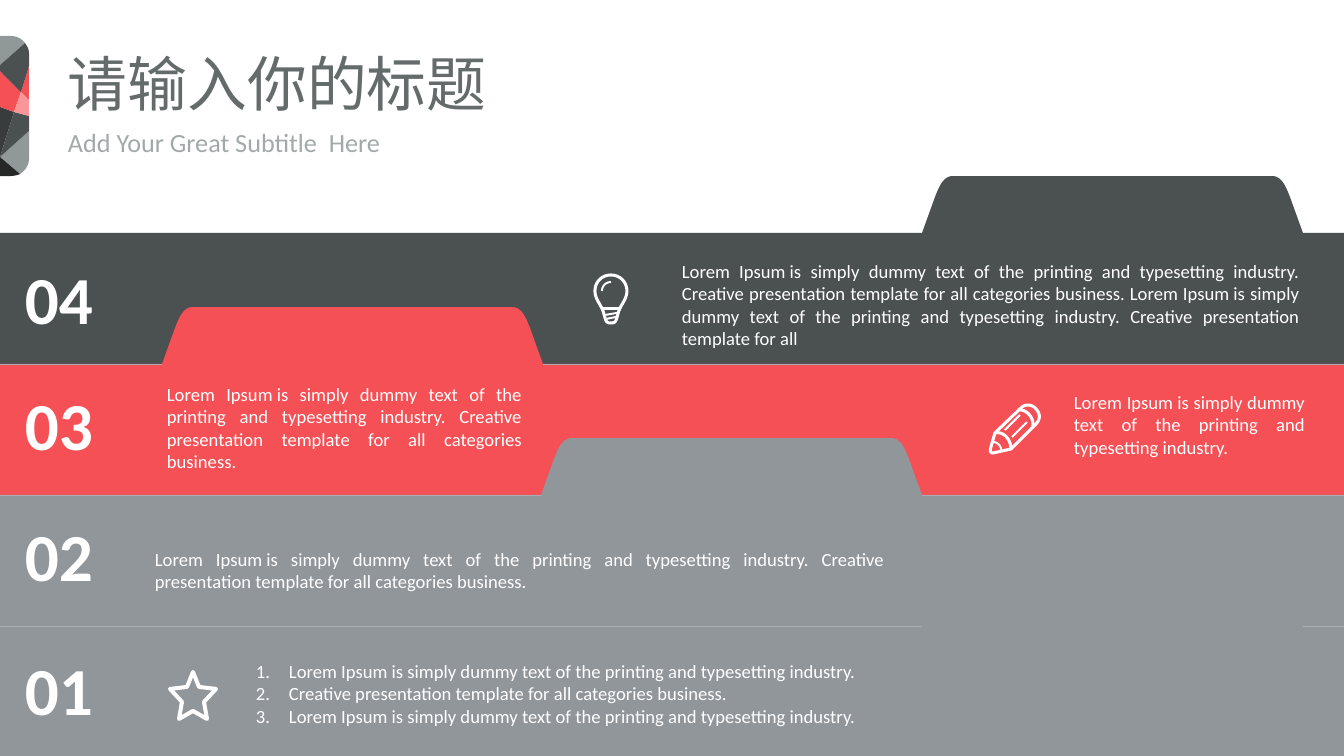
from lxml.etree import SubElement
from pptx import Presentation
from pptx.dml.color import RGBColor
from pptx.enum.shapes import MSO_CONNECTOR
from pptx.enum.text import MSO_ANCHOR, PP_ALIGN
from pptx.oxml.ns import qn
from pptx.util import Pt

SCALE = 914400 / 100.8
WIDTH, HEIGHT = 1344, 756
WHITE = RGBColor(0xFF, 0xFF, 0xFF)
CORAL = RGBColor(0xF5, 0x50, 0x55)
PINK = RGBColor(0xF9, 0x96, 0x99)
SLATE = RGBColor(0x4B, 0x50, 0x50)
CHARCOAL = RGBColor(0x38, 0x3C, 0x3C)
BLACK = RGBColor(0x26, 0x28, 0x28)
SAGE = RGBColor(0x91, 0x98, 0x98)
GRAY = RGBColor(0x91, 0x96, 0x9B)
HAIRLINE = RGBColor(0xA9, 0xAD, 0xB1)
TITLE_GRAY = RGBColor(0x65, 0x6B, 0x6B)
SUBTITLE_GRAY = RGBColor(0xA3, 0xA9, 0xA9)


def emu(pixels):
    return round(pixels * SCALE)


def add_outline(points, fill=None, stroke=None, close=True):
    """Draw a freeform; a point of six numbers is a Bezier curve."""
    x, y = points[0]
    vertices = []
    for point in points[1:]:
        if len(point) == 2:
            vertices.append(point)
        else:
            x1, y1, x2, y2, x3, y3 = point
            for step in range(1, 13):
                t = step / 12
                a, b, c, d = (1 - t) ** 3, 3 * t * (1 - t) ** 2, 3 * t * t * (1 - t), t ** 3
                vertices.append((a * x + b * x1 + c * x2 + d * x3,
                                 a * y + b * y1 + c * y2 + d * y3))
        x, y = point[-2:]
    builder = slide.shapes.build_freeform(emu(points[0][0]), emu(points[0][1]))
    builder.add_line_segments([(emu(px), emu(py)) for px, py in vertices], close=close)
    shape = builder.convert_to_shape()
    shape.shadow.inherit = False
    for part, color in ((shape.fill, fill), (shape.line.fill, WHITE if stroke else None)):
        if color is None:
            part.background()
        else:
            part.solid()
            part.fore_color.rgb = color
    if stroke:
        shape.line.width = emu(stroke)


presentation = Presentation()
presentation.slide_width, presentation.slide_height = emu(WIDTH), emu(HEIGHT)
slide = presentation.slides.add_slide(presentation.slide_layouts[6])

# Faceted badge at the left edge
facets = [
    (SAGE, [(29, 131), (0, 157), (20, 174), (25, 171, 29, 165, 29, 159)]),
    (CHARCOAL, [(14, 112), (0, 107), (0, 157)]),
    (SLATE, [(14, 112), (0, 157), (29, 131), (29, 116)]),
    (BLACK, [(20, 174), (0, 157), (0, 176), (11, 176), (14, 176, 18, 175, 20, 174)]),
    (SAGE, [(0, 65), (25, 43), (22, 39, 17, 36, 11, 36), (0, 36)]),
    (CORAL, [(29, 66), (21, 92), (29, 100)]),
    (CORAL, [(14, 112), (21, 92), (0, 71), (0, 107)]),
    (SLATE, [(0, 71), (21, 92), (29, 66), (29, 53), (29, 49, 27, 46, 25, 43), (0, 65)]),
    (PINK, [(29, 100), (21, 92), (14, 112), (29, 116)]),
]
for color, points in facets:
    add_outline(points, fill=color)

# Folder bands, each with a raised tab and a hairline beside the tab
TAB_WIDTH, BAND_STEP = 381, 131
tab = [(0, 0), (13, -36), (17, -46, 21, -57, 31, -57), (350, -57),
       (360, -57, 364, -46, 368, -36), (TAB_WIDTH, 0)]
for row, (color, tab_left) in enumerate([(SLATE, 922), (CORAL, 162), (GRAY, 541), (GRAY, 922)]):
    top = 233 + row * BAND_STEP
    bottom = min(top + BAND_STEP, HEIGHT)
    tab_points = [tuple(value + (top if index % 2 else tab_left)
                        for index, value in enumerate(point)) for point in tab]
    add_outline([(0, bottom), (0, top), *tab_points, (WIDTH, top), (WIDTH, bottom)], fill=color)
    if row:
        for start, end in ((0, tab_left), (tab_left + TAB_WIDTH, WIDTH)):
            line = slide.shapes.add_connector(
                MSO_CONNECTOR.STRAIGHT, emu(start), emu(top), emu(end), emu(top))
            line.line.color.rgb = HAIRLINE
            line.line.width = Pt(0.5)
            SubElement(line._element.spPr, qn("a:effectLst"))

# Texts: left, top, width, height, paragraphs, format
INDUSTRY = "Lorem Ipsum\u00a0is simply dummy text of the printing and typesetting industry."
BUSINESS = "Creative presentation template for all categories business."
BOTH = f"{INDUSTRY} {BUSINESS}"
body = {"size": Pt(13.3), "alignment": PP_ALIGN.JUSTIFY}
number = {"size": Pt(48), "bold": True}
heading = {"line_spacing": 0.9, "space_before": Pt(7.5), "vertical_anchor": MSO_ANCHOR.MIDDLE,
           "margin_left": 0, "margin_right": 0, "margin_top": 0, "margin_bottom": 0}
texts = [
    (68, 57, 706, 60, ["请输入你的标题"], {**heading, "size": Pt(42.7), "color": TITLE_GRAY}),
    (68, 132, 429, 25, ["Add Your Great Subtitle  Here"],
     {**heading, "size": Pt(18.7), "color": SUBTITLE_GRAY}),
    (15, 252, 142, 92, ["04"], number),
    (15, 378, 142, 92, ["03"], number),
    (15, 509, 142, 92, ["02"], number),
    (15, 643, 142, 92, ["01"], number),
    (145, 543, 750, 55, [BOTH], body),
    (157, 378, 375, 101, [BOTH], body),
    (1064, 386, 251, 78, [INDUSTRY], body),
    (672, 255, 638, 101,
     [f"{BOTH} {INDUSTRY} Creative presentation template for all"], body),
    (246, 655, 750, 78, [INDUSTRY, BUSINESS, INDUSTRY], {**body, "numbered": True}),
]
for left, top, width, height, paragraphs, format_values in texts:
    box = slide.shapes.add_textbox(emu(left), emu(top), emu(width), emu(height))
    frame = box.text_frame
    frame.word_wrap = True
    frame.text = "\n".join(paragraphs)
    for paragraph in frame.paragraphs:
        font = paragraph.runs[0].font
        font.name = "Calibri"
        font.color.rgb = format_values.get("color", WHITE)
        for name, value in format_values.items():
            for target in (font, paragraph, frame):
                if name != "color" and hasattr(target, name):
                    setattr(target, name, value)
                    break
        if "numbered" in format_values:
            properties = paragraph._p.get_or_add_pPr()
            properties.set("marL", str(emu(33)))
            properties.set("indent", str(emu(-33)))
            SubElement(properties, qn("a:buAutoNum"), type="arabicPeriod")

# Icons: stroke width, closed, points
star_half = [(193, 672), (199, 687), (216, 689), (204, 702), (207, 719), (193, 711)]
star = star_half + [(386 - x, y) for x, y in star_half[-2:0:-1]]
icons = [
    # Light bulb
    (3, True, [(595, 291), (595, 282, 602, 275, 611, 275), (620, 275, 627, 282, 627, 291),
               (627, 300, 620, 305, 618, 314), (616, 321, 616, 323, 611, 323),
               (606, 323, 606, 321, 604, 314), (602, 305, 595, 300, 595, 291)]),
    (2, False, [(602, 291), (602, 286, 606, 282, 611, 282)]),
    (3, False, [(603, 309), (619, 309)]),
    (2, False, [(605, 315), (617, 313)]),
    (2, False, [(606, 319), (616, 317)]),
    # Pencil
    (3, True, [(995, 433), (1021, 408), (1026, 403, 1033, 405, 1036, 409),
               (1040, 413, 1041, 419, 1036, 424), (1011, 449), (993, 453),
               (990, 453, 990, 450, 991, 447)]),
    (3, False, [(995, 433), (1003, 431, 1011, 439, 1011, 449)]),
    (3, False, [(1018, 410), (1027, 409, 1034, 418, 1033, 426)]),
    (2, False, [(1005, 430), (1020, 415)]),
    (2, False, [(1012, 437), (1027, 422)]),
    (2, False, [(993, 442), (998, 442, 1002, 447, 1001, 451)]),
    # Star
    (4, True, star),
]
for stroke, close, points in icons:
    add_outline(points, stroke=stroke, close=close)

presentation.save("out.pptx")
